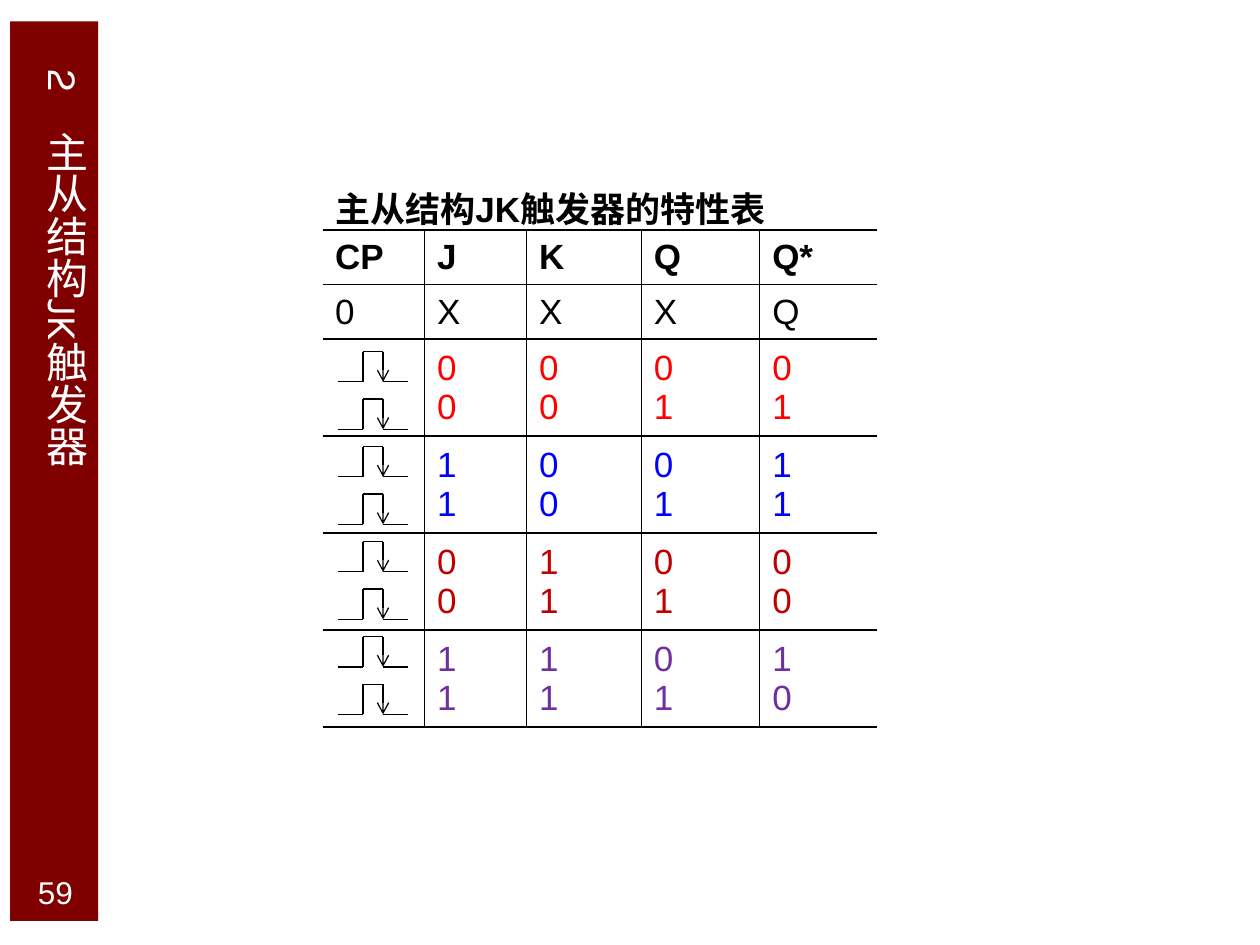
import pptx
import pptx.util
import pptx.dml.color
import pptx.enum.shapes
import pptx.enum.text
import pptx.oxml
import pptx.oxml.ns
import lxml.etree

Inches = pptx.util.Inches
Pt = pptx.util.Pt
qn = pptx.oxml.ns.qn
BLACK, WHITE = "000000", "FFFFFF"


def rgb(hex_colour):
    return pptx.dml.color.RGBColor.from_string(hex_colour)


def write(frame, text, size=20, colour=BLACK, bold=False, font="Arial",
          align=pptx.enum.text.PP_ALIGN.LEFT, tab_stop=None):
    """Fill a text frame, one paragraph for each line of text."""
    for index, line in enumerate(text.split("\n")):
        paragraph = frame.paragraphs[0] if index == 0 else frame.add_paragraph()
        paragraph.alignment = align
        if tab_stop:
            tabs = lxml.etree.SubElement(paragraph._p.get_or_add_pPr(), qn("a:tabLst"))
            lxml.etree.SubElement(tabs, qn("a:tab"), pos=str(tab_stop), algn="l")
        run = paragraph.add_run()
        run.text = line
        run.font.size = Pt(size)
        run.font.bold = bold
        run.font.name = font
        run.font.color.rgb = rgb(colour)


prs = pptx.Presentation()
prs.slide_width, prs.slide_height = Inches(10), Inches(7.5)
slide = prs.slides.add_slide(prs.slide_layouts[6])

# Side bar with page number and vertical chapter title
side_bar = slide.shapes.add_shape(
    pptx.enum.shapes.MSO_SHAPE.RECTANGLE,
    Inches(0.08), Inches(0.17), Inches(0.7), Inches(7.14))
side_bar.shadow.inherit = False
side_bar.fill.solid()
side_bar.fill.fore_color.rgb = rgb("800000")
side_bar.line.fill.background()

page_number = slide.shapes.add_textbox(Inches(0.12), Inches(6.9), Inches(0.64), Inches(0.35))
page_number.text_frame.word_wrap = True
page_number.text_frame.vertical_anchor = pptx.enum.text.MSO_ANCHOR.MIDDLE
write(page_number.text_frame, "59", size=18, colour=WHITE,
      align=pptx.enum.text.PP_ALIGN.CENTER)

chapter = slide.shapes.add_textbox(Inches(0.12), Inches(0.44), Inches(0.65), Inches(6.72))
chapter_frame = chapter.text_frame
chapter_frame.word_wrap = True
chapter_frame.margin_top = chapter_frame.margin_bottom = Inches(0.1)
chapter_frame.margin_left = chapter_frame.margin_right = Inches(0.05)
chapter_frame._txBody.bodyPr.set("vert", "eaVert")
write(chapter_frame, "2\t主从结构JK触发器", size=24, colour=WHITE, font="Karla",
      tab_stop=Inches(0.5))

# Clock pulses: low, rise, high, fall (arrow), low
PULSE_COUNT = 8
pulse_x = [Inches(x) for x in (2.68, 2.88, 2.88, 3.04, 3.04, 3.24)]
first_base, last_base = Inches(3.03), Inches(5.67)
pulse_height = Inches(0.24)
FALL = 3
for i in range(PULSE_COUNT):
    low = first_base + (last_base - first_base) * i // (PULSE_COUNT - 1)
    high = low - pulse_height
    corners = list(zip(pulse_x, (low, low, high, high, low, low)))
    pulse = slide.shapes.add_group_shape()
    for step, (start, end) in enumerate(zip(corners, corners[1:])):
        edge = pulse.shapes.add_connector(
            pptx.enum.shapes.MSO_CONNECTOR.STRAIGHT, *start, *end)
        edge.line.color.rgb = rgb(BLACK)
        edge.line.width = Pt(0.75)
        if step == FALL:
            lxml.etree.SubElement(edge.line._get_or_add_ln(), qn("a:tailEnd"), type="arrow")
        lxml.etree.SubElement(edge._element.spPr, qn("a:effectLst"))

# Characteristic table: cell texts and colour of each row
truth_rows = [
    (["主从结构JK触发器的特性表", "", "", "", ""], BLACK),
    (["CP", "J", "K", "Q", "Q*"], BLACK),
    (["0", "X", "X", "X", "Q"], BLACK),
    (["", "0\n0", "0\n0", "0\n1", "0\n1"], "FF0000"),
    (["", "1\n1", "0\n0", "0\n1", "1\n1"], "0000FF"),
    (["", "0\n0", "1\n1", "0\n1", "0\n0"], "C00000"),
    (["", "1\n1", "1\n1", "0\n1", "1\n0"], "7030A0"),
]
column_widths = [0.81, 0.81, 0.91, 0.94, 0.93]
row_heights = [0.43] * 3 + [0.77] * 4
table = slide.shapes.add_table(
    len(row_heights), len(column_widths), Inches(2.56), Inches(1.39),
    Inches(sum(column_widths)), Inches(sum(row_heights))).table
table.first_row = table.horz_banding = False
for column, width in zip(table.columns, column_widths):
    column.width = Inches(width)
for row, height in zip(table.rows, row_heights):
    row.height = Inches(height)
table.cell(0, 0).merge(table.cell(0, len(column_widths) - 1))

for r, (texts, colour) in enumerate(truth_rows):
    for c, text in enumerate(texts):
        cell = table.cell(r, c)
        cell.vertical_anchor = pptx.enum.text.MSO_ANCHOR.MIDDLE
        if text:
            write(cell.text_frame, text, colour=colour, bold=r < 2)
        borders = {
            "a:lnL": r > 0 and c > 0,
            "a:lnR": r > 0 and c < len(texts) - 1,
            "a:lnT": r > 0,
            "a:lnB": True,
        }
        properties = cell._tc.get_or_add_tcPr()
        for side, visible in borders.items():
            border = lxml.etree.SubElement(properties, qn(side), w=str(Pt(1)))
            if visible:
                ink = lxml.etree.SubElement(border, qn("a:solidFill"))
                lxml.etree.SubElement(ink, qn("a:srgbClr"), val=BLACK)
            else:
                lxml.etree.SubElement(border, qn("a:noFill"))
        cell.fill.background()

prs.save("out.pptx")
